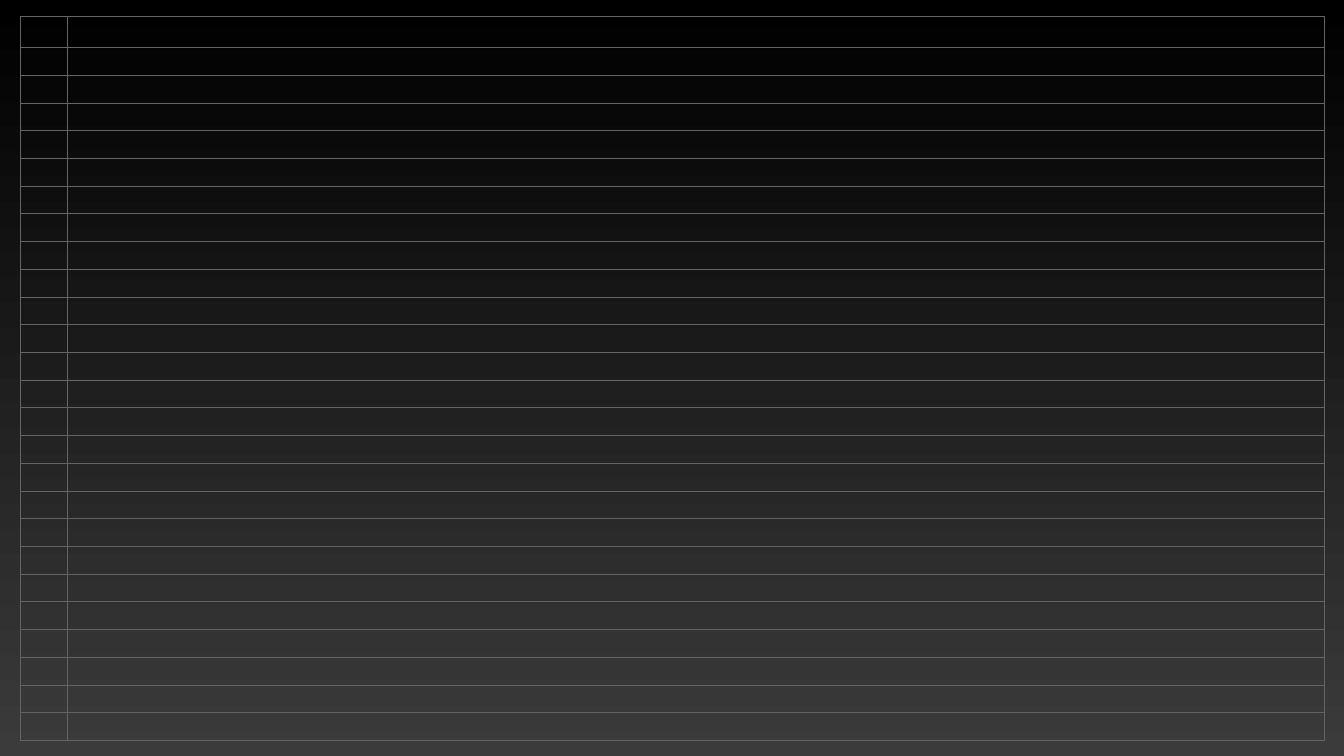
from dataclasses import dataclass

from lxml.etree import SubElement
from pptx import Presentation
from pptx.dml.color import RGBColor
from pptx.oxml.ns import qn
from pptx.util import Inches, Pt


@dataclass(frozen=True)
class Theme:
    background_top: str = "000000"
    background_bottom: str = "3B3B3B"
    grid: str = "5F6568"
    grid_width: int = Pt(1)


def add_borders(cell, color, width):
    """Draw a solid line on all four sides; call before setting the cell fill."""
    properties = cell._tc.get_or_add_tcPr()
    for side in ("a:lnL", "a:lnR", "a:lnT", "a:lnB"):
        line = SubElement(properties, qn(side), w=str(width))
        fill = SubElement(line, qn("a:solidFill"))
        SubElement(fill, qn("a:srgbClr"), val=color)


theme = Theme()
presentation = Presentation()
presentation.slide_width = Inches(26.67)
presentation.slide_height = Inches(15)
slide = presentation.slides.add_slide(presentation.slide_layouts[6])

# Background: dark gradient from top to bottom
background = slide.background.fill
background.gradient()
background.gradient_angle = 270
stop_colors = (theme.background_top, theme.background_bottom)
for position, (stop, color) in enumerate(zip(background.gradient_stops, stop_colors)):
    stop.color.rgb = RGBColor.from_string(color)
    stop.position = position

# Empty ruled table: a taller header row above equal rows
column_widths = [0.94, 24.93]
row_heights = [0.62] + [0.55] * 25
table = slide.shapes.add_table(
    len(row_heights), len(column_widths),
    Inches(0.4), Inches(0.32), Inches(sum(column_widths)), Inches(sum(row_heights)),
).table
table.first_row = False
table.horz_banding = False

for column, width in zip(table.columns, column_widths):
    column.width = Inches(width)
for row, height in zip(table.rows, row_heights):
    row.height = Inches(height)
for cell in table.iter_cells():
    add_borders(cell, theme.grid, theme.grid_width)
    cell.fill.background()

presentation.save("out.pptx")
